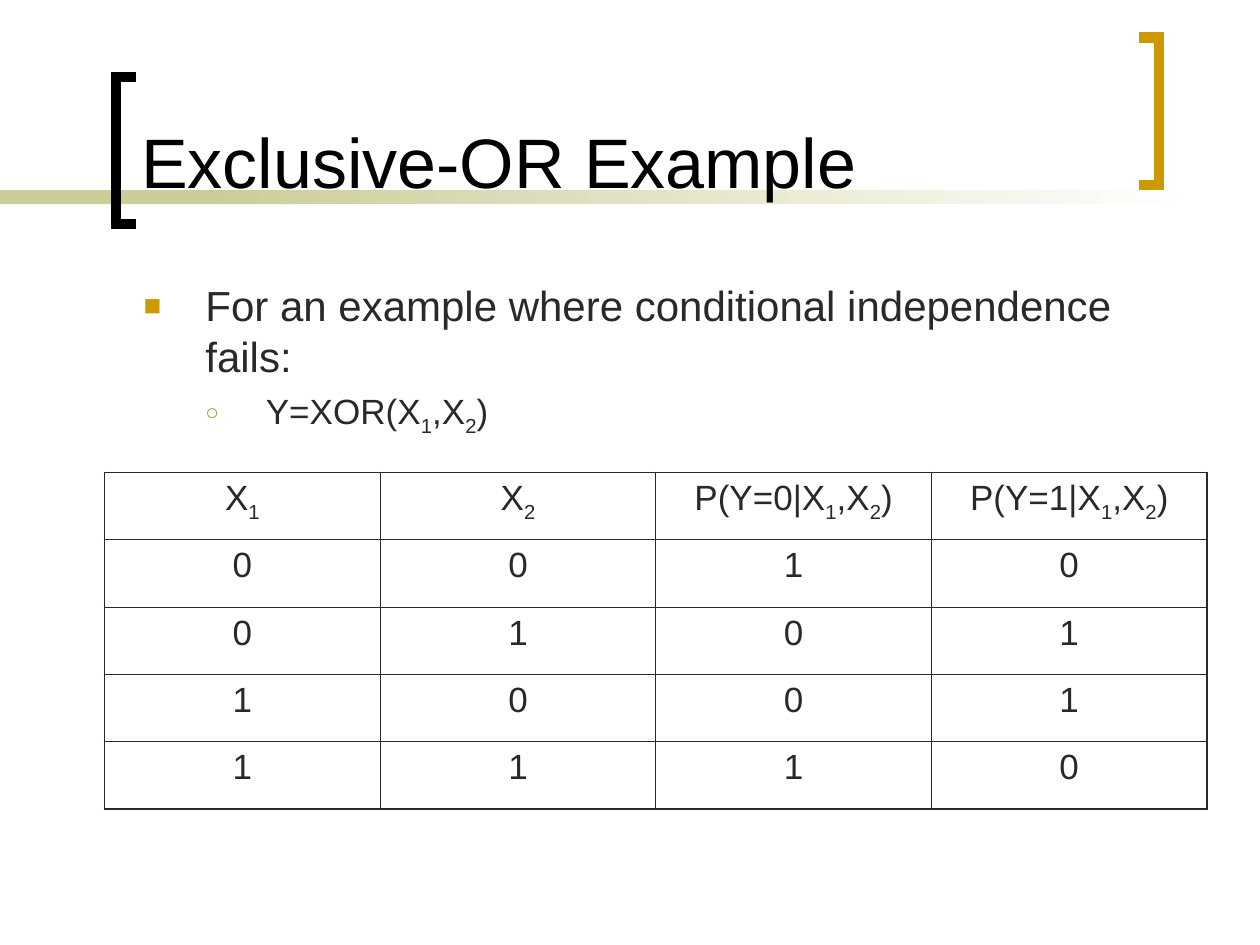
"""Build the Exclusive-OR example slide with its truth table."""
from dataclasses import dataclass
from typing import Any

from lxml import etree
from pptx import Presentation, util as u
from pptx.dml.color import RGBColor
from pptx.enum import shapes, text
from pptx.oxml import ns

BLACK = RGBColor(0x00, 0x00, 0x00)
WHITE = RGBColor(0xFF, 0xFF, 0xFF)
CHARCOAL = RGBColor(0x29, 0x29, 0x29)
GOLD = RGBColor(0xCC, 0x99, 0x00)
OLIVE = RGBColor(0x99, 0x99, 0x33)
SAND = RGBColor(0xCC, 0xCC, 0x99)

BAND_TOP, BAND_HEIGHT = 1.51, 0.11
BRACKET_HEIGHT = 1.17
INNER_BORDER, OUTER_BORDER = 0.45, 1.08
TRUTH_TABLE = (
    ("X_1", "X_2", "P(Y=0|X_1,X_2)", "P(Y=1|X_1,X_2)"),
    ("0", "0", "1", "0"),
    ("0", "1", "0", "1"),
    ("1", "0", "0", "1"),
    ("1", "1", "1", "0"),
)


@dataclass(frozen=True)
class Bracket:
    spine: float
    tip: float
    top: float
    color: RGBColor


@dataclass(frozen=True)
class Bullet:
    content: str
    level: int
    size: int
    space_before: int
    margin: float
    indent: float
    symbol: str
    symbol_percent: int
    color: RGBColor


BRACKETS = (Bracket(0.92, 1.08, 0.61, BLACK), Bracket(9.2, 9.04, 0.3, GOLD))
BULLETS = (
    Bullet("For an example where conditional independence fails:",
           0, 24, 0, 0.49, -0.49, "■", 70, GOLD),
    Bullet("Y=XOR(X_1,X_2)", 1, 20, 5, 0.97, -0.48, "○", 65, OLIVE),
)


def apply_format(target: Any, values: dict[str, Any]) -> None:
    for name, value in values.items():
        setattr(target, name, value)


def add_child(parent: Any, tag: str, **attributes: str) -> Any:
    return etree.SubElement(parent, ns.qn(f"a:{tag}"), attributes)


def write_text(paragraph: Any, content: str, size: int, color: RGBColor) -> None:
    """Write text in which an underscore lowers the character after it."""
    plain, *marked = content.split("_")
    pieces = [(plain, False)]
    for part in marked:
        pieces += [(part[0], True), (part[1:], False)]
    for piece, lowered in pieces:
        if not piece:
            continue
        run = paragraph.add_run()
        run.text = piece
        apply_format(run.font, {"name": "Arial", "size": u.Pt(size)})
        run.font.color.rgb = color
        if lowered:
            run.font._element.set("baseline", "-25000")


def add_band(slide: Any, left: float, width: float) -> Any:
    band = slide.shapes.add_shape(
        shapes.MSO_SHAPE.RECTANGLE, u.Inches(left), u.Inches(BAND_TOP),
        u.Inches(width), u.Inches(BAND_HEIGHT))
    band.shadow.inherit = False
    band.line.fill.background()
    return band


def add_bands(slide: Any) -> None:
    solid = add_band(slide, 0, 2.33)
    solid.fill.solid()
    solid.fill.fore_color.rgb = SAND
    fading = add_band(slide, 1.58, 7.92)
    fading.fill.gradient()
    fading.fill.gradient_angle = 0
    for stop, color in zip(fading.fill.gradient_stops, (SAND, WHITE)):
        stop.color.rgb = color


def add_bracket(slide: Any, bracket: Bracket) -> None:
    bottom = bracket.top + BRACKET_HEIGHT
    corners = [(bracket.tip, bracket.top), (bracket.spine, bracket.top),
               (bracket.spine, bottom), (bracket.tip, bottom)]
    start, *others = [(u.Inches(x), u.Inches(y)) for x, y in corners]
    builder = slide.shapes.build_freeform(*start)
    builder.add_line_segments(others, close=False)
    shape = builder.convert_to_shape()
    shape.shadow.inherit = False
    shape.fill.background()
    shape.line.color.rgb = bracket.color
    shape.line.width = u.Pt(6)
    add_child(shape.line._get_or_add_ln(), "miter", lim="800000")


def place(placeholder: Any, left: float, top: float, width: float,
          height: float, anchor: Any) -> Any:
    apply_format(placeholder, {
        "left": u.Inches(left), "top": u.Inches(top),
        "width": u.Inches(width), "height": u.Inches(height)})
    apply_format(placeholder.text_frame, {
        "word_wrap": True, "auto_size": text.MSO_AUTO_SIZE.NONE,
        "vertical_anchor": anchor})
    return placeholder.text_frame


def add_bullet(paragraph: Any, bullet: Bullet) -> None:
    properties = paragraph._p.get_or_add_pPr()
    properties.set("marL", str(u.Inches(bullet.margin)))
    properties.set("indent", str(u.Inches(bullet.indent)))
    color = add_child(properties, "buClr")
    add_child(color, "srgbClr", val=str(bullet.color))
    add_child(properties, "buSzPct", val=str(bullet.symbol_percent * 1000))
    add_child(properties, "buFont", typeface="Arial")
    add_child(properties, "buChar", char=bullet.symbol)
    apply_format(paragraph, {
        "level": bullet.level, "space_before": u.Pt(bullet.space_before)})
    write_text(paragraph, bullet.content, bullet.size, CHARCOAL)


def add_border(cell: Any, side: str, points: float) -> None:
    line = add_child(cell._tc.get_or_add_tcPr(), f"ln{side}",
                     w=str(u.Pt(points)))
    add_child(add_child(line, "solidFill"), "srgbClr", val=str(CHARCOAL))


def add_truth_table(slide: Any) -> None:
    row_count, column_count = len(TRUTH_TABLE), len(TRUTH_TABLE[0])
    table = slide.shapes.add_table(
        row_count, column_count, u.Inches(0.83), u.Inches(3.75),
        u.Inches(8.75), u.Inches(2.67)).table
    apply_format(table, {"first_row": False, "horz_banding": False})
    for row, values in enumerate(TRUTH_TABLE):
        for column, content in enumerate(values):
            cell = table.cell(row, column)
            outer_sides = {"L": column == 0, "R": column == column_count - 1,
                           "T": row == 0, "B": row == row_count - 1}
            for side, is_outer in outer_sides.items():
                add_border(cell, side, OUTER_BORDER if is_outer else INNER_BORDER)
            cell.fill.background()
            paragraph = cell.text_frame.paragraphs[0]
            paragraph.alignment = text.PP_ALIGN.CENTER
            write_text(paragraph, content, 20, CHARCOAL)


def main() -> None:
    presentation = Presentation()
    apply_format(presentation, {
        "slide_width": u.Inches(10), "slide_height": u.Inches(7.5)})
    slide = presentation.slides.add_slide(presentation.slide_layouts[1])
    title, body = slide.placeholders
    add_bands(slide)
    for bracket in BRACKETS:
        add_bracket(slide, bracket)
    for placeholder in (title, body):
        slide.shapes.element.append(placeholder.element)

    title_frame = place(title, 1.02, 0.11, 7.83, 1.55, text.MSO_ANCHOR.BOTTOM)
    title_paragraph = title_frame.paragraphs[0]
    title_paragraph.alignment = text.PP_ALIGN.LEFT
    write_text(title_paragraph, "Exclusive-OR Example", 40, BLACK)

    body_frame = place(body, 1.04, 2.17, 8.3, 4.5, text.MSO_ANCHOR.TOP)
    body_frame.add_paragraph()
    for paragraph, bullet in zip(body_frame.paragraphs, BULLETS):
        add_bullet(paragraph, bullet)
    add_truth_table(slide)
    presentation.save("out.pptx")


if __name__ == "__main__":
    main()
